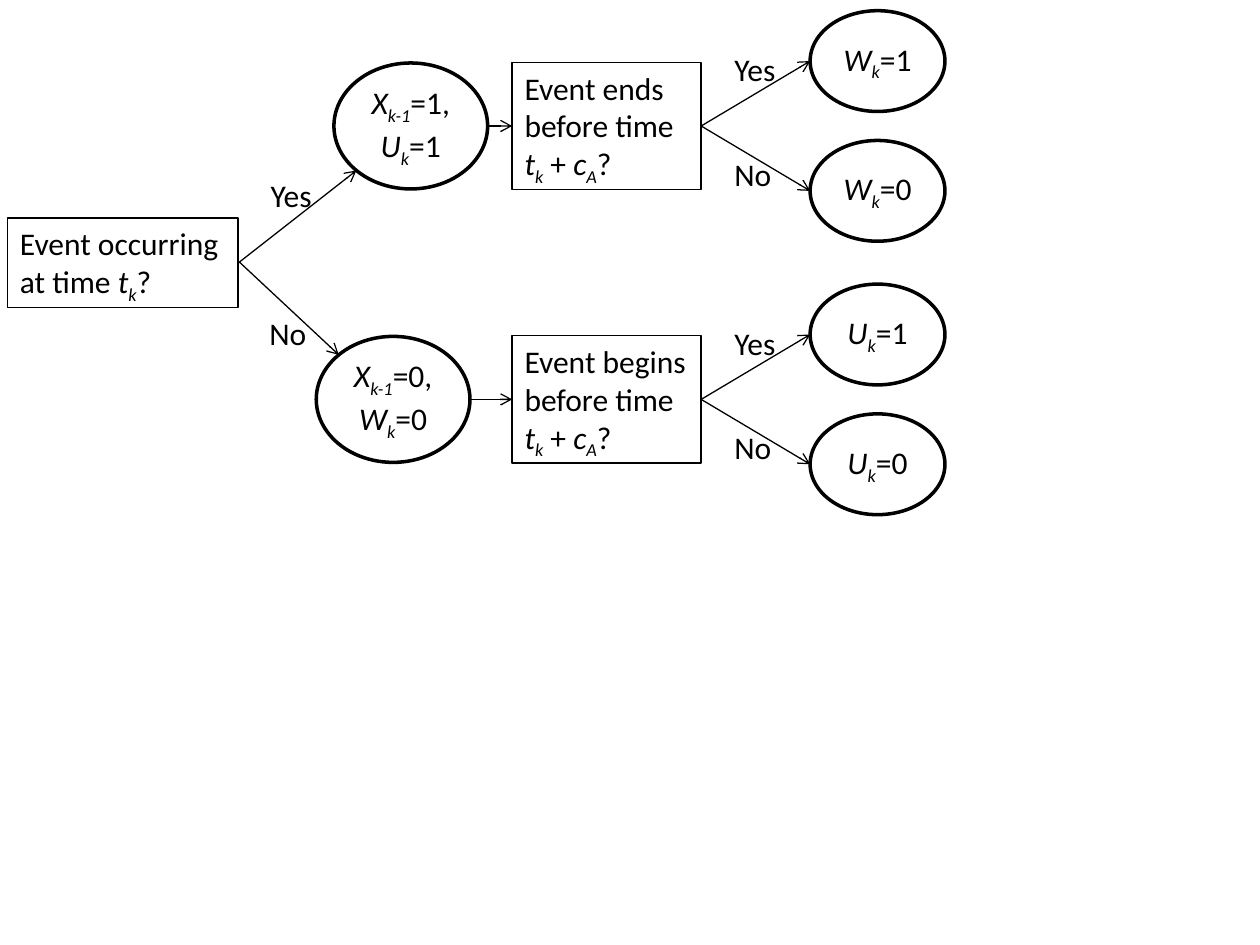
from lxml import etree
from pptx import Presentation
from pptx import util as u
from pptx.dml.color import RGBColor
from pptx.enum import shapes, text
from pptx.oxml.ns import qn

prs = Presentation()
prs.slide_width, prs.slide_height = u.Inches(10), u.Inches(7.5)
COL, ROW = prs.slide_width / 100, prs.slide_height / 75
INK = "000000"
RECT, OVAL = shapes.MSO_SHAPE.RECTANGLE, shapes.MSO_SHAPE.OVAL
s = prs.slides.add_slide(prs.slide_layouts[6])


def add_node(kind, x, y, w, h, words):
    """Add a box, oval or (kind None) label; * marks italic, _ subscript."""
    at = [u.Emu(round(n)) for n in (x * COL, y * ROW, w * COL, h * ROW)]
    if kind is None:
        sp = s.shapes.add_textbox(*at)
    else:
        sp = s.shapes.add_shape(kind, *at)
        sp.shadow.inherit = False
        sp.fill.background()
        sp.line.color.rgb = RGBColor.from_string(INK)
        sp.line.width = u.Pt(2 if kind == OVAL else 0.75)
    tf = sp.text_frame
    tf.word_wrap = True
    middle = kind == OVAL
    tf.vertical_anchor = text.MSO_ANCHOR.MIDDLE if middle else text.MSO_ANCHOR.TOP
    p = tf.paragraphs[0]
    p.alignment = text.PP_ALIGN.CENTER if middle else text.PP_ALIGN.LEFT
    for part in words.split("|"):
        r = p.add_run()
        r.text = part.lstrip("*_")
        r.font.name, r.font.size = "Calibri", u.Pt(18)
        r.font.color.rgb = RGBColor.from_string(INK)
        r.font.italic = part[0] in "*_"
        if part[0] == "_":
            r.font._element.set("baseline", "-25000")


def add_arrow(x1, y1, x2, y2):
    """Add a thin line with an open arrowhead at its end."""
    ends = [u.Emu(round(n)) for n in (x1 * COL, y1 * ROW, x2 * COL, y2 * ROW)]
    line = s.shapes.add_connector(shapes.MSO_CONNECTOR.STRAIGHT, *ends)
    line.line.color.rgb = RGBColor.from_string(INK)
    line.line.width = u.Pt(0.75)
    etree.SubElement(line.line._get_or_add_ln(), qn("a:tailEnd"), type="arrow")
    etree.SubElement(line._element.spPr, qn("a:effectLst"))


ROOT_RIGHT, ROOT_Y = 19, 20.8
STATE_W, STATE_H = 12.2, 10
QUESTION_X, QUESTION_W, QUESTION_H = 40.65, 15, 10.1
OUTCOME_X, OUTCOME_W, OUTCOME_H = 64.3, 10.7, 8
LABEL_W, LABEL_H = 5.3, 4
DIAGONAL = 0.5 ** 0.5 / 2

add_node(RECT, 0.6, 17.3, 18.3, 7.1, "Event occurring at time |*t|_k|?")

# answer, label x and y, state left, branch centre, side facing the root, verb, state, outcome
branches = [
    ("Yes", 20.5, 13.5, 26.5, 10, 1, "ends", "*X|_k-1|=1, |*U|_k|=1", "W"),
    ("No", 20.4, 24.4, 25.1, 31.7, -1, "begins", "*X|_k-1|=0, |*W|_k|=0", "U"),
]
for answer, label_x, label_y, state_x, mid, side, verb, state, outcome in branches:
    add_arrow(ROOT_RIGHT, ROOT_Y, state_x + STATE_W * (0.5 - DIAGONAL),
              mid + side * STATE_H * DIAGONAL)
    add_node(None, label_x, label_y, LABEL_W, LABEL_H, answer)
    add_node(OVAL, state_x, mid - STATE_H / 2, STATE_W, STATE_H, state)
    add_arrow(state_x + STATE_W, mid, QUESTION_X, mid)
    add_node(RECT, QUESTION_X, mid - QUESTION_H / 2, QUESTION_W, QUESTION_H,
             f"Event {verb} before time |*t|_k| + |*c|_A|?")
    for reply, value, reply_dy, dy in (("Yes", 1, -6.5, -5.15), ("No", 0, 1.8, 5.15)):
        add_arrow(QUESTION_X + QUESTION_W, mid, OUTCOME_X, mid + dy)
        add_node(None, 57.3, mid + reply_dy, LABEL_W, LABEL_H, reply)
        add_node(OVAL, OUTCOME_X, mid + dy - OUTCOME_H / 2, OUTCOME_W, OUTCOME_H,
                 f"*{outcome}|_k|={value}")

prs.save("out.pptx")
